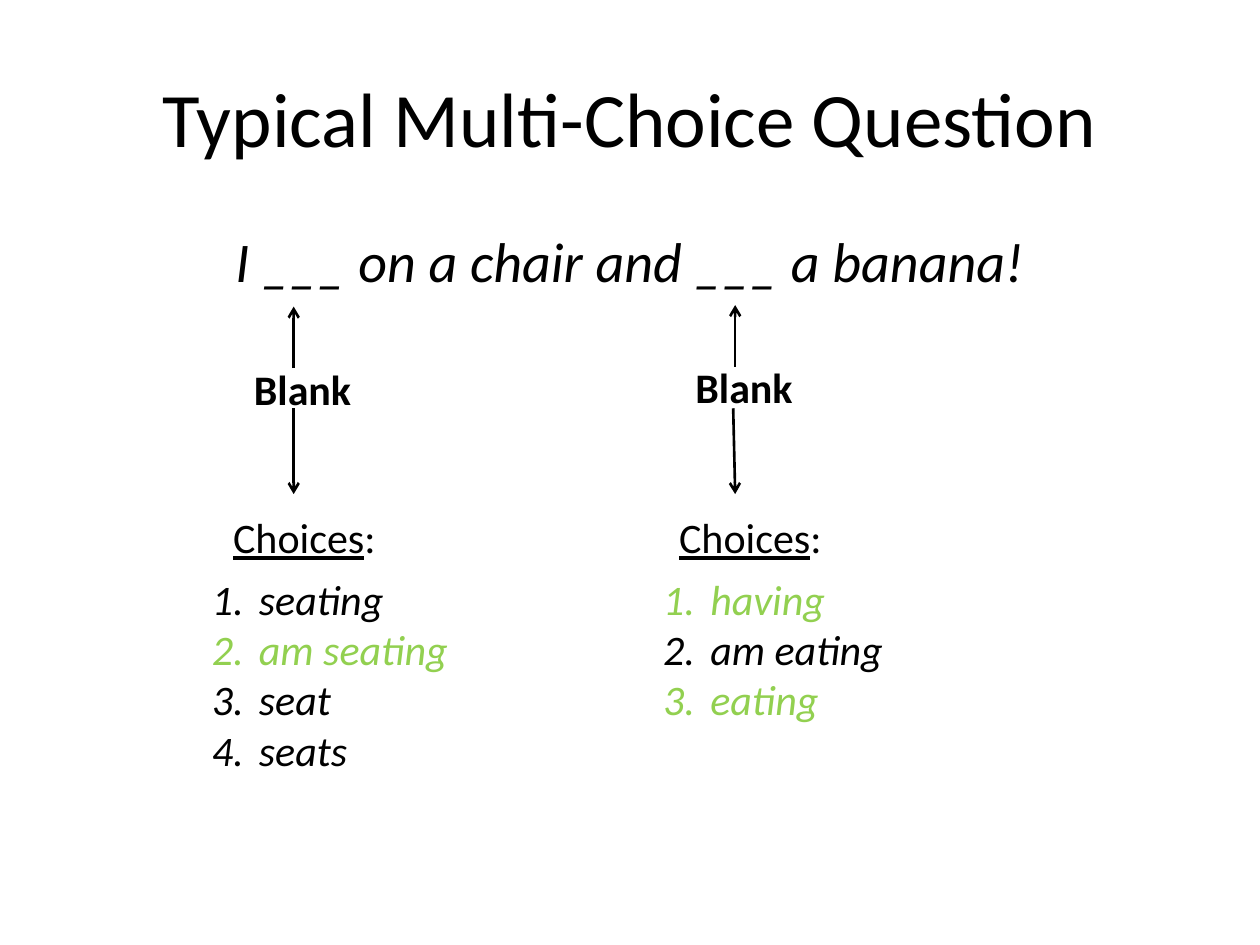
from lxml.etree import SubElement
from pptx import Presentation
from pptx.dml.color import RGBColor
from pptx.enum.shapes import MSO_CONNECTOR as Connector
from pptx.enum.text import MSO_ANCHOR as Anchor, PP_ALIGN as Align
from pptx.oxml.ns import qn
from pptx.util import Cm, Pt

BLACK = "000000"
GREEN = "92D050"


def colour(hex_string):
    return RGBColor.from_string(hex_string)


class SlideBuilder:
    font_name = "Calibri"
    body_size = 24
    line_width = 1.5
    list_indent = 0.95

    def __init__(self, slide):
        self.slide = slide

    def box(self, left, top, width, height, anchor=Anchor.TOP):
        shape = self.slide.shapes.add_textbox(Cm(left), Cm(top), Cm(width), Cm(height))
        frame = shape.text_frame
        frame.word_wrap = True
        frame.vertical_anchor = anchor
        return frame

    def style(self, paragraph, size=body_size, ink=BLACK, bold=False, italic=False):
        font = paragraph.font
        font.name = self.font_name
        font.size = Pt(size)
        font.bold = bold
        font.italic = italic
        font.color.rgb = colour(ink)

    def text(self, words, *place, anchor=Anchor.TOP, align=Align.LEFT, **style):
        paragraph = self.box(*place, anchor=anchor).paragraphs[0]
        paragraph.text = words
        paragraph.alignment = align
        self.style(paragraph, **style)

    def heading(self, words, *place):
        """Underlined word followed by a plain colon."""
        paragraph = self.box(*place).paragraphs[0]
        for part, underlined in ((words, True), (":", False)):
            run = paragraph.add_run()
            run.text = part
            run.font.underline = underlined
        self.style(paragraph)

    def numbered_list(self, items, *place):
        frame = self.box(*place)
        for index, (words, ink) in enumerate(items):
            paragraph = frame.add_paragraph() if index else frame.paragraphs[0]
            paragraph.text = words
            properties = paragraph._p.get_or_add_pPr()
            properties.set("marL", str(Cm(self.list_indent)))
            properties.set("indent", str(-Cm(self.list_indent)))
            bullet_colour = SubElement(properties, qn("a:buClr"))
            SubElement(bullet_colour, qn("a:srgbClr"), val=ink)
            SubElement(properties, qn("a:buFont"), typeface="+mj-lt")
            SubElement(properties, qn("a:buAutoNum"), type="arabicPeriod")
            self.style(paragraph, ink=ink, italic=True)

    def arrow(self, *ends):
        connector = self.slide.shapes.add_connector(
            Connector.STRAIGHT, *(Cm(value) for value in ends))
        connector.line.color.rgb = colour(BLACK)
        connector.line.width = Pt(self.line_width)
        SubElement(connector.line._get_or_add_ln(), qn("a:tailEnd"), type="arrow")
        SubElement(connector._element.spPr, qn("a:effectLst"))


def main():
    presentation = Presentation()
    presentation.slide_width = Cm(25.4)
    presentation.slide_height = Cm(19.05)
    builder = SlideBuilder(presentation.slides.add_slide(presentation.slide_layouts[6]))

    # Title and question
    builder.text("Typical Multi-Choice Question", 1.27, 0.76, 22.86, 3.18,
                 anchor=Anchor.MIDDLE, align=Align.CENTER, size=44)
    builder.text("I ___ on a chair and ___ a banana!", 1.27, 4.45, 22.86, 12.57,
                 align=Align.CENTER, size=32, italic=True)

    # One column per blank: arrow x, lower arrow start x, blank top,
    # heading left, list left, choices
    columns = (
        (5.92, 5.92, 7.2, 4.45, 4.02,
         (("seating", BLACK), ("am seating", GREEN), ("seat", BLACK), ("seats", BLACK))),
        (14.82, 14.78, 7.17, 13.44, 13.12,
         (("having", GREEN), ("am eating", BLACK), ("eating", GREEN))),
    )
    for x, start_x, blank_top, heading_left, list_left, choices in columns:
        builder.arrow(x, blank_top + 0.22, x, blank_top - 1.02)
        builder.text("Blank", x - 1.05, blank_top, 2.97, 1.27, bold=True)
        builder.arrow(start_x, 8.23, x, 9.96)
        builder.heading("Choices", heading_left, 10.19, 3.7, 1.27)
        builder.numbered_list(choices, list_left, 11.43, 5.5,
                              0.25 + 1.03 * len(choices))

    presentation.save("out.pptx")


if __name__ == "__main__":
    main()
